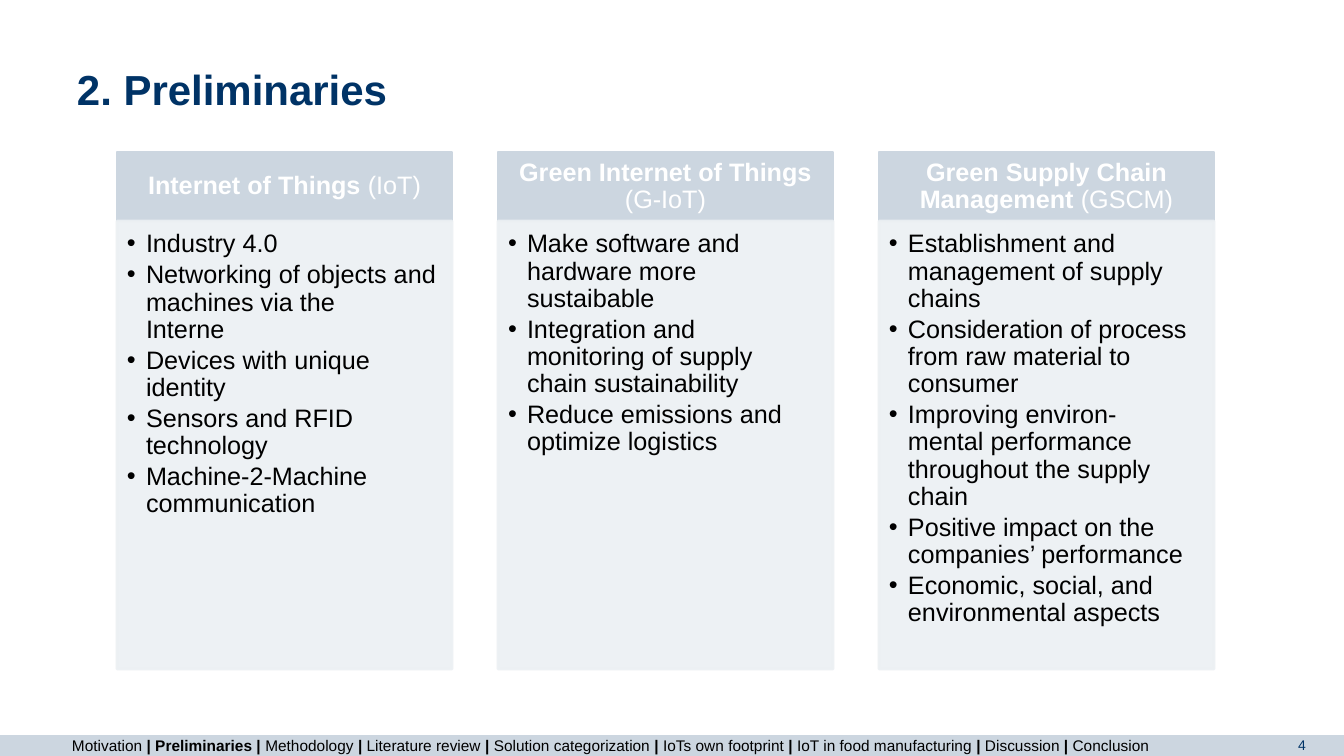
from lxml.etree import SubElement
from pptx import Presentation
from pptx.dml.color import RGBColor
from pptx.enum.shapes import MSO_SHAPE as Shape
from pptx.enum.text import MSO_ANCHOR as Anchor, PP_ALIGN as Align
from pptx.oxml.ns import qn
from pptx.util import Emu, Pt

SCALE = 914400 / 100.8
WIDTH, HEIGHT = 1344, 756
COLORS = {"navy": "003366", "band": "CCD6E0", "panel": "ECF0F3", "text": "000000", "white": "FFFFFF"}

SECTIONS = ["Motivation", "Preliminaries", "Methodology", "Literature review", "Solution categorization",
            "IoTs own footprint", "IoT in food manufacturing", "Discussion", "Conclusion"]
CURRENT_SECTION = "Preliminaries"

COLUMNS = [
    ("Internet of Things ", "(IoT)", [
        "Industry 4.0",
        "Networking of objects and machines via the\nInterne",
        "Devices with unique identity",
        "Sensors and RFID technology",
        "Machine-2-Machine\ncommunication"]),
    ("Green Internet of Things\n", "(G-IoT)", [
        "Make software and hardware more sustaibable",
        "Integration and monitoring of supply chain sustainability",
        "Reduce emissions and optimize logistics"]),
    ("Green Supply Chain Management ", "(GSCM)", [
        "Establishment and\nmanagement of supply chains",
        "Consideration of process from raw material to consumer",
        "Improving environ-\nmental performance throughout the supply chain",
        "Positive impact on the companies’ performance",
        "Economic, social, and\nenvironmental aspects"]),
]
COLUMN_LEFT, COLUMN_PITCH, COLUMN_WIDTH = 117, 381, 335
HEADER_TOP, HEADER_HEIGHT = 152, 69
PANEL_TOP, PANEL_HEIGHT = 221, 448


def px(value):
    return Emu(round(value * SCALE))


class SlideBuilder:
    """Holds the slide and its style and adds each kind of element."""

    def __init__(self, presentation, font="Arial"):
        self.slide = presentation.slides.add_slide(presentation.slide_layouts[6])
        self.font = font

    def color(self, name):
        return RGBColor.from_string(COLORS[name])

    def rectangle(self, box, color, line=0, alpha=None):
        shape = self.slide.shapes.add_shape(Shape.RECTANGLE, *map(px, box))
        shape.shadow.inherit = False
        shape.fill.solid()
        shape.fill.fore_color.rgb = self.color(color)
        if line:
            shape.line.width = Pt(line)
            shape.line.color.rgb = self.color(color)
        else:
            shape.line.fill.background()
        if alpha:
            for fill_color in shape._element.spPr.iter(qn("a:srgbClr")):
                SubElement(fill_color, qn("a:alpha"), val=str(alpha * 1000))
        return shape

    def text_box(self, box):
        return self.slide.shapes.add_textbox(*map(px, box))

    def fill_text(self, shape, paragraphs, size, color, margins=(10, 5, 10, 5), anchor=Anchor.TOP,
                  align=Align.LEFT, spacing=1.0, after=0, bullet=None):
        frame = shape.text_frame
        frame.word_wrap = True
        frame.vertical_anchor = anchor
        frame.margin_left, frame.margin_top, frame.margin_right, frame.margin_bottom = map(px, margins)
        for index, runs in enumerate(paragraphs):
            paragraph = frame.add_paragraph() if index else frame.paragraphs[0]
            paragraph.alignment = align
            paragraph.line_spacing = spacing
            paragraph.space_after = Pt(after)
            if bullet:
                self.bullet(paragraph, bullet)
            for text, bold in runs:
                self.add_text(paragraph, text, bold, size, color)

    def add_text(self, paragraph, text, bold, size, color):
        for index, line in enumerate(text.split("\n")):
            if index:
                paragraph.add_line_break()
            if line:
                run = paragraph.add_run()
                run.text = line
                run.font.name = self.font
                run.font.size = Pt(size)
                run.font.bold = bold
                run.font.color.rgb = self.color(color)

    def bullet(self, paragraph, character, indent=19):
        properties = paragraph._p.get_or_add_pPr()
        properties.set("marL", str(px(indent)))
        properties.set("indent", str(px(-indent)))
        bullet_color = SubElement(properties, qn("a:buClr"))
        SubElement(bullet_color, qn("a:srgbClr"), val=COLORS["text"])
        SubElement(properties, qn("a:buFont"), typeface=self.font)
        SubElement(properties, qn("a:buChar"), char=character)

    def title(self, text):
        self.fill_text(self.text_box((77, 71, 994, 43)), [[(text, True)]], 30, "navy",
                       margins=(0, 0, 0, 0), anchor=Anchor.BOTTOM, spacing=0.85)

    def column(self, left, name, short_name, items):
        header = self.rectangle((left, HEADER_TOP, COLUMN_WIDTH, HEADER_HEIGHT), "band", line=2)
        self.fill_text(header, [[(name, True), (short_name, False)]], 18, "white", margins=(14, 8, 14, 8),
                       anchor=Anchor.MIDDLE, align=Align.CENTER, spacing=0.9)
        panel = self.rectangle((left, PANEL_TOP, COLUMN_WIDTH, PANEL_HEIGHT), "panel", line=2, alpha=90)
        self.fill_text(panel, [[(item, False)] for item in items], 18, "text", margins=(10, 10, 14, 16),
                       spacing=0.9, after=2.7, bullet="•")

    def footer(self, sections, current, number):
        self.rectangle((0, 735, WIDTH, 21), "band")
        self.fill_text(self.text_box((1136, 732, 180, 26)), [[(number, False)]], 10, "navy", align=Align.RIGHT)
        runs = []
        for section in sections:
            if runs:
                runs.append((" | ", True))
            runs.append((section, section == current))
        self.fill_text(self.text_box((62, 731, 1180, 29)), [runs], 11, "text")


def main():
    presentation = Presentation()
    presentation.slide_width, presentation.slide_height = px(WIDTH), px(HEIGHT)
    builder = SlideBuilder(presentation)
    builder.footer(SECTIONS, CURRENT_SECTION, "4")
    builder.title("2. Preliminaries")
    for index, column in enumerate(COLUMNS):
        builder.column(COLUMN_LEFT + index * COLUMN_PITCH, *column)
    presentation.save("out.pptx")


if __name__ == "__main__":
    main()
